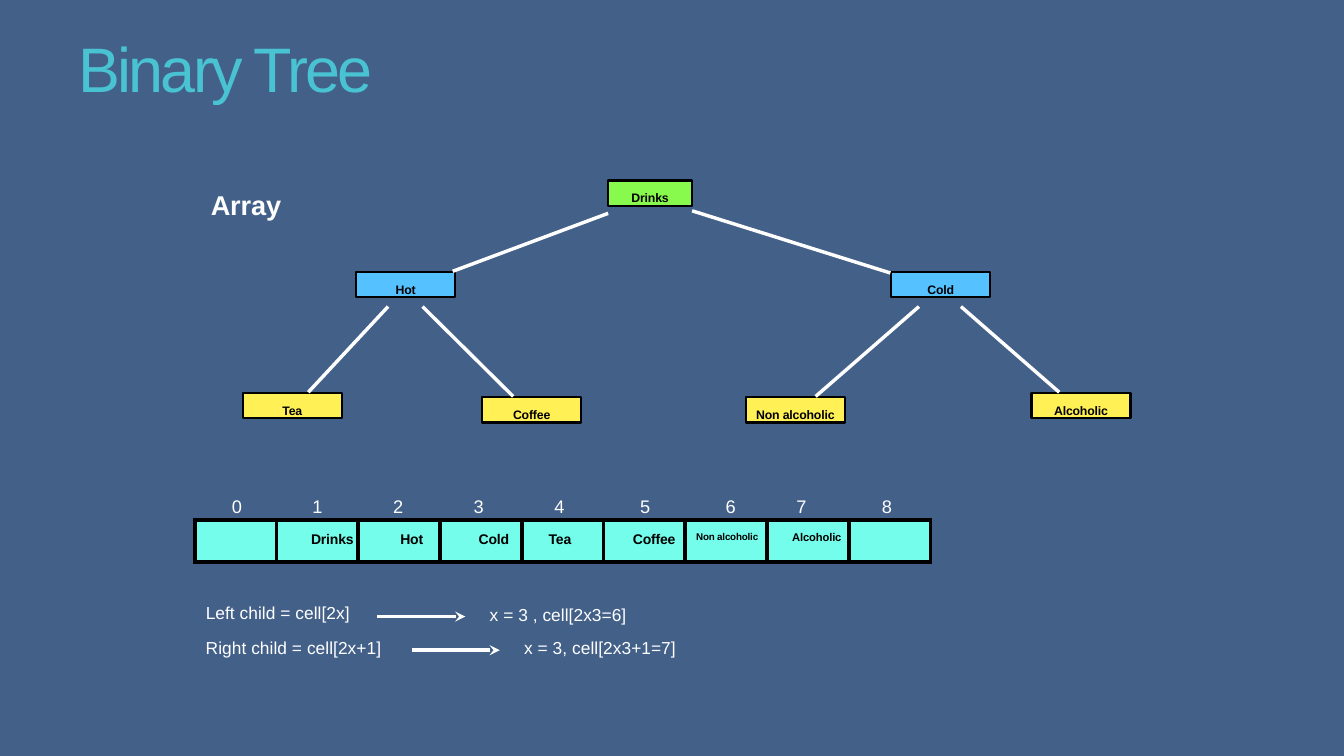
"""Build the binary tree slide with its array representation."""
from dataclasses import dataclass

from lxml.etree import SubElement
from pptx import Presentation
from pptx.dml.color import RGBColor
from pptx.enum.shapes import MSO_CONNECTOR as Connector, MSO_SHAPE as Shape
from pptx.enum.text import MSO_ANCHOR as Anchor, MSO_AUTO_SIZE as AutoSize, PP_ALIGN as Align
from pptx.oxml.ns import qn
from pptx.util import Inches, Pt

WIDTH, HEIGHT = Inches(13.33), Inches(7.5)
GRID_COLUMNS, GRID_ROWS = 16, 9
FONT = "Arial"
WHITE, BLACK = "FFFFFF", "000000"
BACKGROUND, TITLE_COLOR = "436089", "49C3D2"
GREEN, BLUE, YELLOW, AQUA = "88FA4E", "56C1FF", "FFF056", "73FDEA"
NODE_HEIGHT, NODE_INSET = 0.3, 0.12
CELL_INSET, LABEL_INSET = 0.14, 0.01


@dataclass
class Label:
    """White text, placed in grid columns and rows."""
    text: str
    left: float
    top: float
    width: float
    height: float = 0.26
    size: float = 12.4
    spacing: float = 0.05
    bold: bool = False


@dataclass
class Node:
    """A tree node, placed in grid columns and rows."""
    text: str
    left: float
    top: float
    fill: str
    width: float = 1.18


@dataclass
class Line:
    """A straight line between two grid points."""
    start: tuple[float, float]
    end: tuple[float, float]
    arrow: bool = False


@dataclass
class Slot:
    """An array cell with the column of its index above it."""
    index_left: float
    text: str = ""
    indent: float = 0
    size: float = 10


LABELS = [
    Label("Array", 2.5, 2.23, 0.86, 0.41, 19.4, -0.1, True),
    Label("Left child = cell[2x]", 2.44, 7.16, 1.78),
    Label("Right child = cell[2x+1]", 2.44, 7.57, 2.2),
    Label("x = 3 , cell[2x3=6]", 5.82, 7.18, 1.7),
    Label("x = 3, cell[2x3+1=7]", 6.23, 7.57, 1.9),
]
NODES = [
    Node("Drinks", 7.24, 2.15, GREEN, 1),
    Node("Hot", 4.24, 3.24, BLUE),
    Node("Cold", 10.61, 3.24, BLUE),
    Node("Tea", 2.89, 4.68, YELLOW),
    Node("Coffee", 5.74, 4.73, YELLOW),
    Node("Non alcoholic", 8.88, 4.73, YELLOW),
    Node("Alcoholic", 12.28, 4.68, YELLOW),
]
LINES = [
    Line((7.24, 2.54), (5.39, 3.23)),
    Line((8.24, 2.51), (10.6, 3.25)),
    Line((4.62, 3.65), (3.67, 4.67)),
    Line((5.03, 3.65), (6.11, 4.72)),
    Line((10.94, 3.65), (9.71, 4.72)),
    Line((11.44, 3.65), (12.61, 4.67)),
    Line((4.49, 7.34), (5.54, 7.34), True),
    Line((4.9, 7.74), (5.95, 7.74), True),
]
SLOTS = [
    Slot(2.75),
    Slot(3.71, "Drinks", 0.41),
    Slot(4.67, "Hot", 0.5),
    Slot(5.63, "Cold", 0.46),
    Slot(6.59, "Tea", 0.32),
    Slot(7.61, "Coffee", 0.35),
    Slot(8.63, "Non alcoholic", 0.13, 7),
    Slot(9.47, "Alcoholic", 0.3, 8),
    Slot(10.49),
]


def column(count: float) -> int:
    """Return the length of a number of grid columns."""
    return int(WIDTH * count / GRID_COLUMNS)


def row(count: float) -> int:
    """Return the length of a number of grid rows."""
    return int(HEIGHT * count / GRID_ROWS)


def box(left: float, top: float, width: float, height: float) -> tuple[int, ...]:
    """Return a grid area as slide lengths."""
    return column(left), row(top), column(width), row(height)


def color(value: str) -> RGBColor:
    """Return the colour of a hex string."""
    return RGBColor.from_string(value)


def paint(target, value: str) -> None:
    """Fill an object with a solid colour."""
    target.fill.solid()
    target.fill.fore_color.rgb = color(value)


def set_margins(target, left: float = 0, top: float = 0) -> None:
    """Set the left and top margins in grid units and clear the others."""
    target.margin_left, target.margin_top = column(left), row(top)
    target.margin_right = target.margin_bottom = 0


def write(text_frame, text: str, size: float, value: str, bold: bool = False,
          spacing: float = 0, align: Align = Align.LEFT) -> None:
    """Put one line of text in a frame and format it."""
    text_frame.text = text
    text_frame.vertical_anchor = Anchor.TOP
    paragraph = text_frame.paragraphs[0]
    paragraph.alignment = align
    for run in paragraph.runs:
        run.font.name, run.font.size, run.font.bold = FONT, Pt(size), bold
        run.font.color.rgb = color(value)
        run._r.get_or_add_rPr().set("spc", str(round(spacing * 100)))


def add_title(slide) -> None:
    """Place and format the title."""
    title = slide.shapes.title
    title.left, title.top, title.width, title.height = box(0.26, 0.34, 9.19, 0.92)
    title.text_frame.auto_size = AutoSize.NONE
    set_margins(title.text_frame, 0.67, LABEL_INSET)
    write(title.text_frame, "Binary Tree", 44.9, TITLE_COLOR, spacing=-1.9)


def add_label(slide, label: Label) -> None:
    """Draw a text label."""
    text_frame = slide.shapes.add_textbox(
        *box(label.left, label.top, label.width, label.height)).text_frame
    text_frame.word_wrap = True
    set_margins(text_frame, LABEL_INSET, LABEL_INSET)
    write(text_frame, label.text, label.size, WHITE, label.bold, label.spacing)


def add_node(slide, node: Node) -> None:
    """Draw a tree node."""
    shape = slide.shapes.add_shape(
        Shape.RECTANGLE, *box(node.left, node.top, node.width, NODE_HEIGHT))
    shape.shadow.inherit = False
    paint(shape, node.fill)
    shape.line.color.rgb, shape.line.width = color(BLACK), Pt(1.65)
    set_margins(shape.text_frame, top=NODE_INSET)
    write(shape.text_frame, node.text, 8.8, BLACK, True, -0.1, Align.CENTER)


def add_line(slide, line: Line) -> None:
    """Draw a branch or an arrow."""
    (left, top), (right, bottom) = line.start, line.end
    connector = slide.shapes.add_connector(
        Connector.STRAIGHT, column(left), row(top), column(right), row(bottom))
    connector.line.color.rgb, connector.line.width = color(WHITE), Pt(2.47)
    if line.arrow:
        SubElement(connector.line._get_or_add_ln(), qn("a:tailEnd"), type="stealth")
    SubElement(connector._element.spPr, qn("a:effectLst"))


def add_borders(cell, width: int, value: str) -> None:
    """Give a table cell a border on every side."""
    properties = cell._tc.get_or_add_tcPr()
    for position, side in enumerate(("a:lnL", "a:lnR", "a:lnT", "a:lnB")):
        border = SubElement(properties, qn(side), w=str(width))
        SubElement(SubElement(border, qn("a:solidFill")), qn("a:srgbClr"), val=value)
        properties.insert(position, border)


def add_array(slide, slots: list[Slot]) -> None:
    """Draw the array as a table with its indices above."""
    table = slide.shapes.add_table(1, len(slots), *box(2.32, 6.19, 8.76, 0.5)).table
    table.first_row = table.horz_banding = False
    for index, slot in enumerate(slots):
        add_label(slide, Label(str(index), slot.index_left, 5.89, 0.14, 0.28, 13, 0))
        cell = table.cell(0, index)
        set_margins(cell, slot.indent, CELL_INSET if slot.text else 0)
        paint(cell, AQUA)
        add_borders(cell, Pt(3), BLACK)
        write(cell.text_frame, slot.text, slot.size, BLACK, True, -0.1)


def main() -> None:
    """Build and save the presentation."""
    presentation = Presentation()
    presentation.slide_width, presentation.slide_height = WIDTH, HEIGHT
    slide = presentation.slides.add_slide(presentation.slide_layouts[5])
    paint(slide.background, BACKGROUND)
    add_title(slide)
    for label in LABELS:
        add_label(slide, label)
    for node in NODES:
        add_node(slide, node)
    for line in LINES:
        add_line(slide, line)
    add_array(slide, SLOTS)
    presentation.save("out.pptx")


if __name__ == "__main__":
    main()
